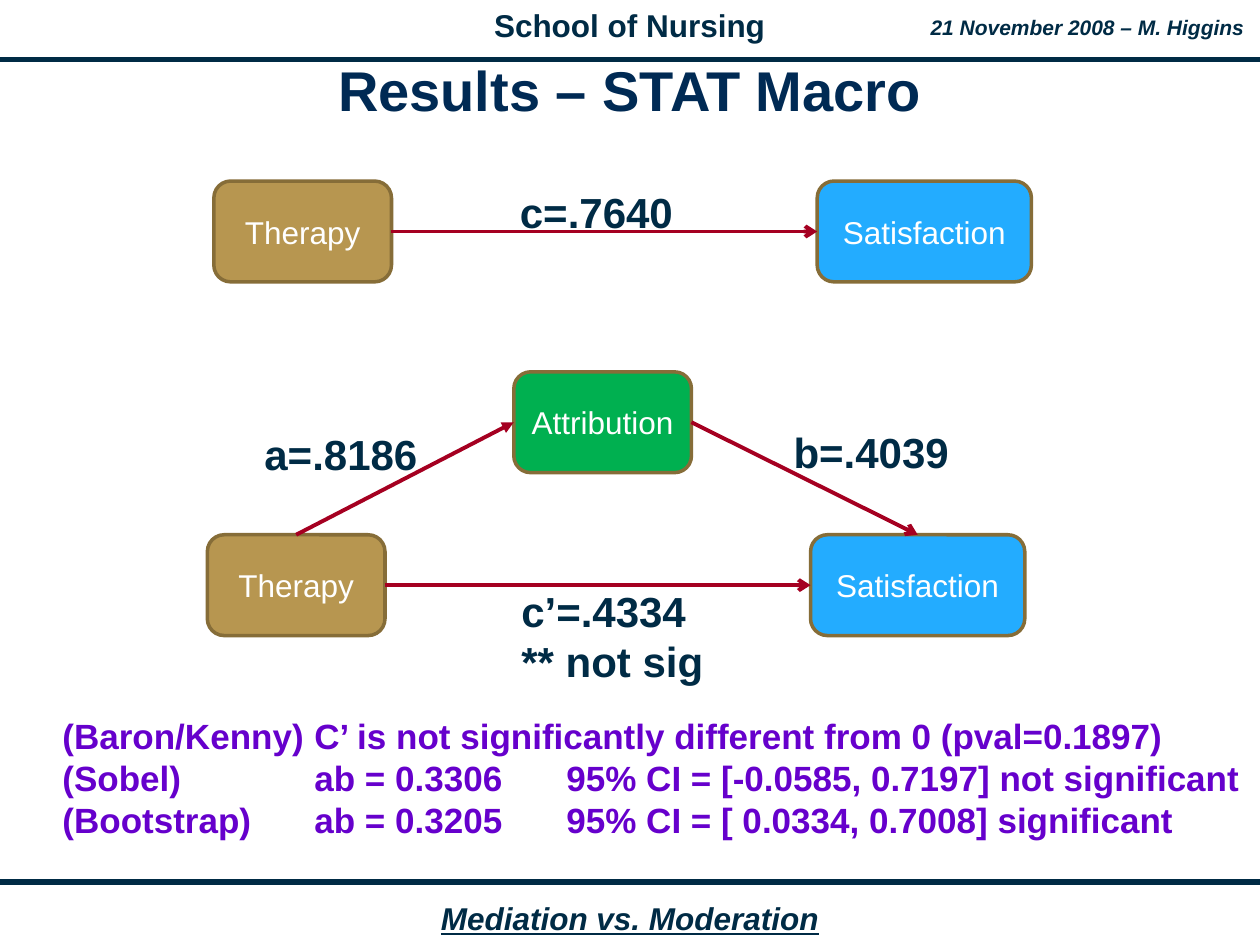
from typing import NamedTuple

from lxml.etree import SubElement
from pptx import Presentation
from pptx.dml.color import RGBColor
from pptx.enum.shapes import MSO_CONNECTOR, MSO_SHAPE
from pptx.enum.text import MSO_ANCHOR, MSO_AUTO_SIZE, PP_ALIGN
from pptx.oxml.ns import qn
from pptx.shapes.autoshape import Shape
from pptx.shapes.connector import Connector
from pptx.slide import Slide
from pptx.util import Pt

NAVY = RGBColor(0x00, 0x2B, 0x45)
TITLE_NAVY = RGBColor(0x00, 0x2A, 0x54)
TAN = RGBColor(0xB7, 0x96, 0x50)
BROWN = RGBColor(0x86, 0x6D, 0x38)
BLUE = RGBColor(0x23, 0xAC, 0xFF)
GREEN = RGBColor(0x00, 0xB0, 0x50)
RED = RGBColor(0xA5, 0x00, 0x21)
PURPLE = RGBColor(0x66, 0x00, 0xCC)
WHITE = RGBColor(0xFF, 0xFF, 0xFF)

FONT = "Arial"
SLIDE_WIDTH, SLIDE_HEIGHT = 720, 540
BOX_HEIGHT = 57.6
NARROW, WIDE = 101.5, 122.4
LABEL_WIDTH = 104
TOP, LEFT, BOTTOM, RIGHT = range(4)


class Variable(NamedTuple):
    text: str
    left: float
    top: float
    width: float
    fill: RGBColor


class Effect(NamedTuple):
    start: str
    start_side: int
    end: str
    end_side: int
    head: str


class Label(NamedTuple):
    lines: tuple[str, ...]
    left: float
    top: float
    width: float
    height: float
    size: float = 24
    color: RGBColor = NAVY
    align: PP_ALIGN = PP_ALIGN.LEFT
    italic: bool = False
    underline: bool = False
    tabs: tuple[float, ...] = ()


RULES = (33.8, 504)

VARIABLES = {
    "total therapy": Variable("Therapy", 122.2, 103.5, NARROW, TAN),
    "total satisfaction": Variable("Satisfaction", 467, 103.5, WIDE, BLUE),
    "therapy": Variable("Therapy", 118.5, 305.6, NARROW, TAN),
    "satisfaction": Variable("Satisfaction", 463.2, 305.6, WIDE, BLUE),
    "attribution": Variable("Attribution", 293.6, 212.5, NARROW, GREEN),
}

EFFECTS = (
    Effect("total therapy", RIGHT, "total satisfaction", LEFT, "arrow"),
    Effect("therapy", RIGHT, "satisfaction", LEFT, "arrow"),
    Effect("therapy", TOP, "attribution", LEFT, "triangle"),
    Effect("attribution", RIGHT, "satisfaction", TOP, "arrow"),
)

LABELS = (
    Label(("School of Nursing",), 275.2, 0, 169.2, 28.8, 18, align=PP_ALIGN.CENTER),
    Label(("21 November 2008 – M. Higgins",), 524.6, 5, 193.7, 21.6, 12,
          align=PP_ALIGN.CENTER, italic=True),
    Label(("Mediation vs. Moderation",), 244.8, 510, 230.4, 28.8, 18,
          align=PP_ALIGN.CENTER, italic=True, underline=True),
    Label(("c=.7640",), 290, 103, LABEL_WIDTH, 36),
    Label(("a=.8186",), 144, 241.4, LABEL_WIDTH, 36),
    Label(("b=.4039",), 446.4, 240.4, LABEL_WIDTH, 36),
    Label(("c’=.4334", "** not sig"), 290.8, 330.8, 122, 65),
    Label(
        (
            "(Baron/Kenny)\tC’ is not significantly different from 0 (pval=0.1897)",
            "(Sobel) \tab = 0.3306\t95% CI = [-0.0585, 0.7197] not significant",
            "(Bootstrap) \tab = 0.3205\t95% CI = [ 0.0334, 0.7008] significant",
        ),
        28.6, 404.8, 690, 79.2, 20, PURPLE, tabs=(144, 288),
    ),
)


def add_label(slide: Slide, label: Label) -> Shape:
    box = slide.shapes.add_textbox(
        Pt(label.left), Pt(label.top), Pt(label.width), Pt(label.height))
    frame = box.text_frame
    frame.word_wrap = False
    frame.auto_size = MSO_AUTO_SIZE.SHAPE_TO_FIT_TEXT
    frame.text = "\n".join(label.lines)
    for paragraph in frame.paragraphs:
        paragraph.alignment = label.align
        if label.tabs:
            properties = paragraph._p.get_or_add_pPr()
            tab_list = SubElement(properties, qn("a:tabLst"))
            for position in label.tabs:
                SubElement(tab_list, qn("a:tab"), pos=str(Pt(position)), algn="l")
        font = paragraph.font
        font.name, font.size, font.bold = FONT, Pt(label.size), True
        font.italic, font.underline = label.italic, label.underline
        font.color.rgb = label.color
    return box


def add_title(slide: Slide, text: str) -> None:
    title = Label((text,), 18, 33.5, 684, 41, 32, TITLE_NAVY, PP_ALIGN.CENTER)
    frame = add_label(slide, title).text_frame
    frame.word_wrap = True
    frame.auto_size = MSO_AUTO_SIZE.NONE
    frame.vertical_anchor = MSO_ANCHOR.MIDDLE
    frame.margin_left = frame.margin_right = Pt(3.6)
    frame.paragraphs[0].line_spacing = 0.85


def add_variable(slide: Slide, variable: Variable) -> Shape:
    box = slide.shapes.add_shape(
        MSO_SHAPE.ROUNDED_RECTANGLE, Pt(variable.left), Pt(variable.top),
        Pt(variable.width), Pt(BOX_HEIGHT))
    box.shadow.inherit = False
    box.fill.solid()
    box.fill.fore_color.rgb = variable.fill
    box.line.color.rgb = BROWN
    box.line.width = Pt(2)
    frame = box.text_frame
    frame.text = variable.text
    frame.vertical_anchor = MSO_ANCHOR.MIDDLE
    paragraph = frame.paragraphs[0]
    paragraph.alignment = PP_ALIGN.CENTER
    font = paragraph.font
    font.name, font.size = FONT, Pt(18)
    font.color.rgb = WHITE
    return box


def add_line(slide: Slide, top: float, color: RGBColor, width: float) -> Connector:
    """Draw a straight line across the slide, without a shadow."""
    line = slide.shapes.add_connector(
        MSO_CONNECTOR.STRAIGHT, Pt(0), Pt(top), Pt(SLIDE_WIDTH), Pt(top))
    line.line.color.rgb = color
    line.line.width = Pt(width)
    SubElement(line._element.spPr, qn("a:effectLst"))
    return line


def add_effect(slide: Slide, effect: Effect, boxes: dict[str, Shape]) -> None:
    """Join two variable boxes with an arrow."""
    arrow = add_line(slide, 0, RED, 2.25)
    arrow.begin_connect(boxes[effect.start], effect.start_side)
    arrow.end_connect(boxes[effect.end], effect.end_side)
    SubElement(arrow.line._get_or_add_ln(), qn("a:tailEnd"), type=effect.head)


def main() -> None:
    presentation = Presentation()
    presentation.slide_width = Pt(SLIDE_WIDTH)
    presentation.slide_height = Pt(SLIDE_HEIGHT)
    slide = presentation.slides.add_slide(presentation.slide_layouts[6])
    for top in RULES:
        add_line(slide, top, NAVY, 3)
    add_title(slide, "Results – STAT Macro")
    boxes = {name: add_variable(slide, variable) for name, variable in VARIABLES.items()}
    for effect in EFFECTS:
        add_effect(slide, effect, boxes)
    for label in LABELS:
        add_label(slide, label)
    presentation.save("out.pptx")


if __name__ == "__main__":
    main()
